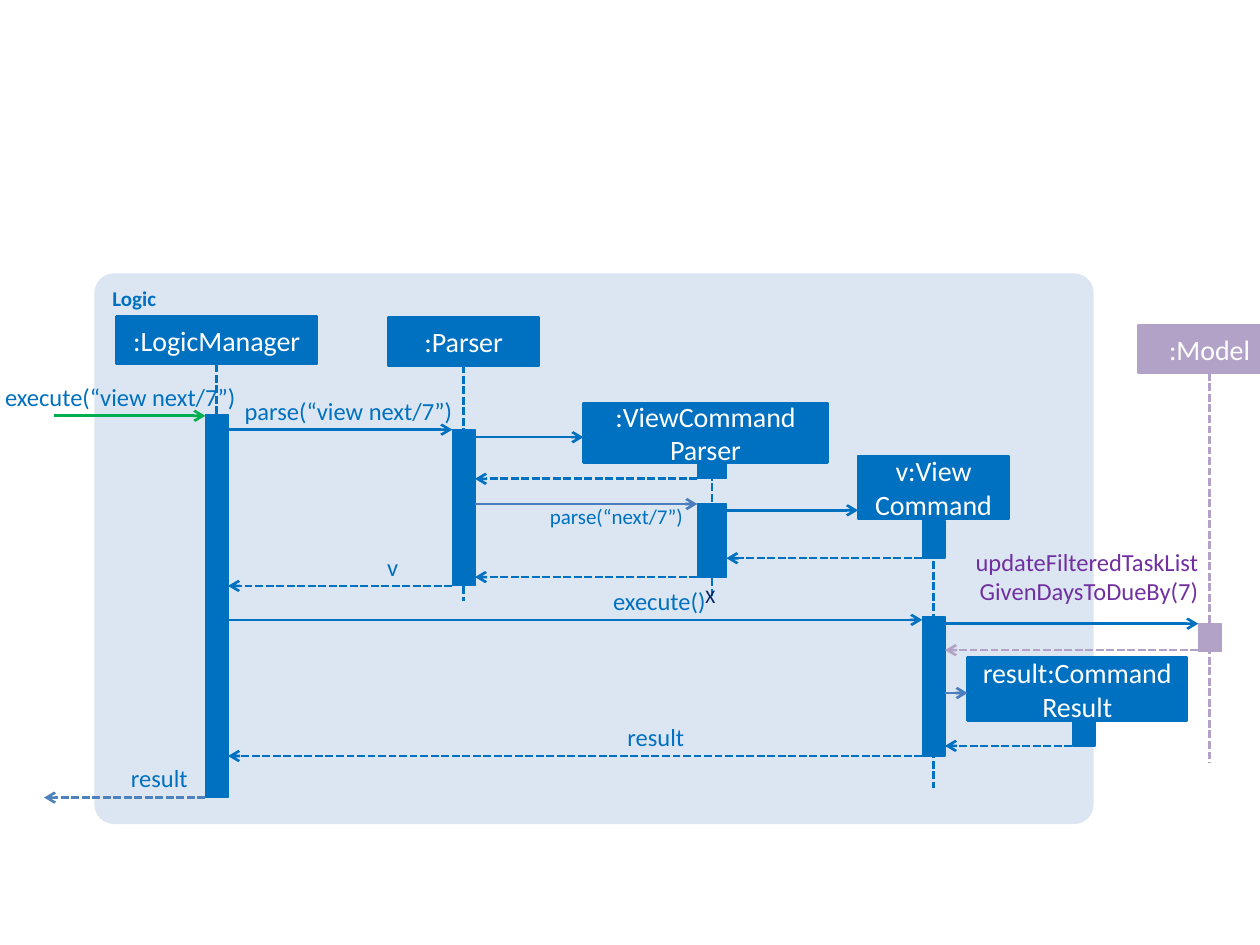
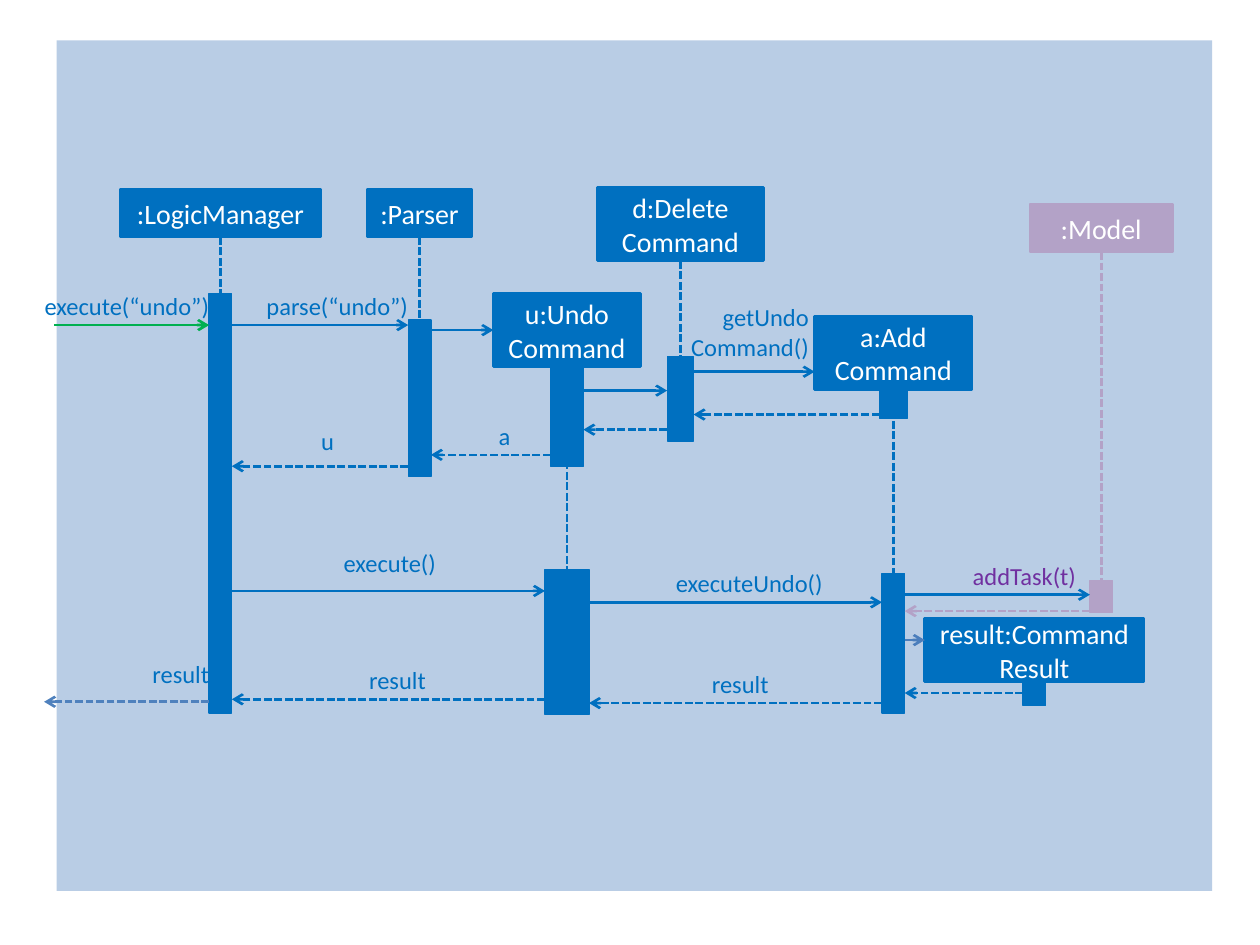
import pptx
import pptx.util
import pptx.dml.color
import pptx.enum.dml
import pptx.enum.shapes
import pptx.enum.text
import pptx.oxml
import pptx.oxml.ns

# Shared look; every length counts cells of a grid of 1000 columns by 750 rows
COLUMNS, ROWS = 1000, 750
CELL = pptx.util.Inches(10) // COLUMNS
FONT = "Calibri"
COLORS = {
    "logic": "0070C0", "model": "B3A2C7", "model call": "7030A0",
    "entry": "00B050", "exit": "4F81BD", "inner": "4B7EBC",
    "destroyed": "002060", "white": "FFFFFF",
    "pale panel": "DCE6F2", "blue panel": "B9CDE5",
}
SHAPES = pptx.enum.shapes.MSO_SHAPE
ALIGN = pptx.enum.text.PP_ALIGN
ANCHOR = pptx.enum.text.MSO_ANCHOR
LINE_HEIGHT = 24
ENTRY_X, EXIT_X = 43, 35

# Participants: lifeline axis, head top and width, bars (top, height, width)
# Messages: kind, row, sender, receiver, options; None is the outside
VIEW = {
    "panel": dict(box=(75, 217, 793, 437), color="pale panel",
                  radius=0.035, title="Logic"),
    "participants": {
        "manager": dict(name=":LogicManager", axis=172, top=251, width=159,
                        end=575, bars=[(329, 304)]),
        "parser": dict(name=":Parser", axis=368, top=252, width=120,
                       end=477, bars=[(341, 124)]),
        "view parser": dict(name=":ViewCommand\nParser", axis=565, top=320,
                            width=194, height=47, shift=-5, end=475,
                            bars=[(367, 13, 23), (400, 58, 23)]),
        "view": dict(name="v:View\vCommand", axis=741, top=362, width=120,
                     height=50, end=625, bars=[(413, 30), (489, 111)]),
        "model": dict(name=":Model", axis=960, top=258, width=113,
                      end=605, bars=[(495, 22)], color="model"),
        "result": dict(name="result:Command Result", axis=860, top=522,
                       width=174, height=50, shift=-5, bars=[(573, 19)]),
    },
    "messages": [
        ("call", 330, None, "manager",
         dict(text="execute(“view next/7”)", right=187)),
        ("call", 341, "manager", "parser",
         dict(text="parse(“view next/7”)", right=359)),
        ("create", 347, "parser", "view parser", {}),
        ("return", 380, "view parser", "parser", {}),
        ("call", 400, "parser", "view parser",
         dict(text="parse(“next/7”)", right=542, lift=0, size=12,
              line_color="inner")),
        ("create", 405, "view parser", "view", {}),
        ("return", 443, "view", "view parser", {}),
        ("return", 458, "view parser", "parser", {}),
        ("return", 465, "parser", "manager", dict(text="v", right=316)),
        ("call", 492, "manager", "view", dict(text="execute()", right=560)),
        ("call", 495, "view", "model",
         dict(text="updateFilteredTaskListGivenDaysToDueBy(7)", right=951,
              lift=61, width=184, color="model call")),
        ("return", 516, "model", "view", {}),
        ("create", 550, "view", "result", dict(line_color="inner")),
        ("return", 592, "result", "view", {}),
        ("return", 600, "view", "manager", dict(text="result", right=543)),
        ("return", 633, "manager", None, dict(text="result", right=149)),
    ],
    "destroyed": (550, 459, 28, 29),
}
UNDO = {
    "panel": dict(box=(45, 32, 917, 675), color="blue panel"),
    "participants": {
        "manager": dict(name=":LogicManager", axis=175, top=150, width=159,
                        end=233, bars=[(233, 333)]),
        "parser": dict(name=":Parser", axis=333, top=150, width=83,
                       end=254, bars=[(254, 124)]),
        "undo": dict(name="u:Undo\nCommand", axis=450, top=233, width=117,
                     height=58, end=452,
                     bars=[(292, 78, 26), (452, 115, 35)]),
        "delete": dict(name="d:Delete\nCommand", axis=540, top=149, width=132,
                       height=58, end=283, bars=[(283, 67, 21)]),
        "add": dict(name="a:Add\nCommand", axis=709, top=251, width=125,
                    height=58, end=455, bars=[(310, 22, 22), (455, 111)]),
        "model": dict(name=":Model", axis=874, top=162, width=113,
                      end=480, bars=[(461, 25)], color="model"),
        "result": dict(name="result:Command Result", axis=821, top=491,
                       width=174, height=50, bars=[(541, 19)]),
    },
    "messages": [
        ("call", 258, None, "manager",
         dict(text="execute(“undo”)", right=166)),
        ("call", 258, "manager", "parser",
         dict(text="parse(“undo”)", right=324)),
        ("create", 262, "parser", "undo", {}),
        ("call", 310, "undo", "delete", {}),
        ("create", 295, "delete", "add",
         dict(text="getUndo\nCommand()", right=642, lift=55)),
        ("return", 329, "add", "delete", {}),
        ("return", 341, "delete", "undo", {}),
        ("return", 361, "undo", "parser", dict(text="a", right=405)),
        ("return", 370, "parser", "manager",
         dict(text="u", right=265, lift=32)),
        ("call", 469, "manager", "undo",
         dict(text="execute()", right=346, lift=34)),
        ("call", 478, "undo", "add", dict(text="executeUndo()", right=653)),
        ("call", 472, "add", "model",
         dict(text="addTask(t)", right=854, color="model call")),
        ("return", 485, "model", "add", {}),
        ("create", 508, "add", "result", dict(line_color="inner")),
        ("return", 550, "result", "add", {}),
        ("return", 558, "add", "undo", dict(text="result", right=610)),
        ("return", 555, "undo", "manager", dict(text="result", right=338)),
        ("return", 557, "manager", None,
         dict(text="result", right=166, lift=34)),
    ],
}


def rgb(name):
    return pptx.dml.color.RGBColor.from_string(COLORS[name])


def cells(*lengths):
    return [round(length * CELL) for length in lengths]


def write(shape, text, size=16, color="white", bold=False, align=ALIGN.CENTER,
          anchor=ANCHOR.MIDDLE, inset=None, wrap=True, grow=False):
    frame = shape.text_frame
    frame.text = text
    frame.word_wrap = wrap
    frame.vertical_anchor = anchor
    if grow:
        frame.auto_size = pptx.enum.text.MSO_AUTO_SIZE.SHAPE_TO_FIT_TEXT
    if inset is not None:
        frame.margin_left = frame.margin_right = inset
        frame.margin_top = frame.margin_bottom = inset
    for paragraph in frame.paragraphs:
        paragraph.alignment = align
        for run in paragraph.runs:
            run.font.name = FONT
            run.font.size = pptx.util.Pt(size)
            run.font.bold = bold
            run.font.color.rgb = rgb(color)


def add_block(slide, box, color, line_width=None, kind=SHAPES.RECTANGLE):
    shape = slide.shapes.add_shape(kind, *cells(*box))
    shape.shadow.inherit = False
    shape.fill.solid()
    shape.fill.fore_color.rgb = rgb(color)
    if line_width:
        shape.line.color.rgb = rgb(color)
        shape.line.width = pptx.util.Pt(line_width)
    else:
        shape.line.fill.background()
    return shape


def add_line(slide, start, end, color, dashed=False, arrow=False):
    connector = slide.shapes.add_connector(
        pptx.enum.shapes.MSO_CONNECTOR.STRAIGHT, *cells(*start, *end))
    connector.line.color.rgb = rgb(color)
    connector.line.width = pptx.util.Pt(1.5)
    if dashed:
        connector.line.dash_style = pptx.enum.dml.MSO_LINE.SQUARE_DOT
    properties = connector._element.spPr
    namespace = pptx.oxml.ns.nsdecls("a")
    if arrow:
        line = properties.find(pptx.oxml.ns.qn("a:ln"))
        line.append(pptx.oxml.parse_xml(
            f"<a:tailEnd {namespace} type='arrow'/>"))
    properties.append(pptx.oxml.parse_xml(f"<a:effectLst {namespace}/>"))


def add_panel(slide, box, color, radius=None, title=None):
    kind = SHAPES.ROUNDED_RECTANGLE if radius else SHAPES.RECTANGLE
    panel = add_block(slide, box, color, kind=kind)
    if radius:
        panel.adjustments[0] = radius
    if title:
        write(panel, title, size=12, color="logic", bold=True,
              align=ALIGN.LEFT, anchor=ANCHOR.TOP)


def bar_box(axis, top, height, width=18):
    return axis - width / 2, top, width, height


def head_box(axis, top, width, height=38, shift=0, **others):
    return axis + shift - width / 2, top, width, height


def add_participant(slide, participant):
    axis, color = participant["axis"], participant.get("color", "logic")
    head = head_box(**participant)
    if "end" in participant:
        add_line(slide, (axis, head[1] + head[3]), (axis, participant["end"]),
                 color, dashed=True)
    for bar in participant["bars"]:
        add_block(slide, bar_box(axis, *bar), color, 0.75)
    write(add_block(slide, head, color, 1.5), participant["name"])


def edge(participant, row, side, at_head=False):
    """Column where a message meets the head or the bar active in its row."""
    if at_head:
        left, _, width, _ = head_box(**participant)
    else:
        bar = max((bar for bar in participant["bars"] if bar[0] <= row),
                  default=participant["bars"][0])
        left, _, width, _ = bar_box(participant["axis"], *bar)
    return left + width if side > 0 else left


def add_label(slide, row, text, right, lift=27, size=14, color="logic",
              width=None):
    width = width or 9 * len(text) + 14
    height = LINE_HEIGHT * (text.count("\n") + 1)
    label = slide.shapes.add_textbox(
        *cells(right - width, row - lift, width, height))
    write(label, text, size=size, color=color, align=ALIGN.RIGHT,
          anchor=ANCHOR.TOP, inset=0, grow=True)


def add_message(slide, participants, kind, row, sender, receiver, options):
    source, target = participants.get(sender), participants.get(receiver)
    side = -1 if kind == "return" else 1
    start = edge(source, row, side) if source else ENTRY_X
    end = edge(target, row, -side, kind == "create") if target else EXIT_X
    color = "entry" if not source else "exit" if not target else "logic"
    if kind == "return" and target:
        color = source.get("color", color)
    label = dict(options)
    color = label.pop("line_color", color)
    add_line(slide, (start, row), (end, row), color,
             dashed=kind == "return", arrow=True)
    if label:
        add_label(slide, row, **label)


def add_diagram(slide, diagram):
    add_panel(slide, **diagram["panel"])
    for participant in diagram["participants"].values():
        add_participant(slide, participant)
    for message in diagram["messages"]:
        add_message(slide, diagram["participants"], *message)

    # Cross at the end of a destroyed object's lifeline
    if "destroyed" in diagram:
        cross = slide.shapes.add_textbox(*cells(*diagram["destroyed"]))
        write(cross, "X", size=11, color="destroyed", align=ALIGN.LEFT,
              anchor=ANCHOR.TOP, wrap=False, grow=True)


presentation = pptx.Presentation()
presentation.slide_width = COLUMNS * CELL
presentation.slide_height = ROWS * CELL
for diagram in (VIEW, UNDO):
    slide = presentation.slides.add_slide(presentation.slide_layouts[6])
    add_diagram(slide, diagram)
presentation.save("out.pptx")
